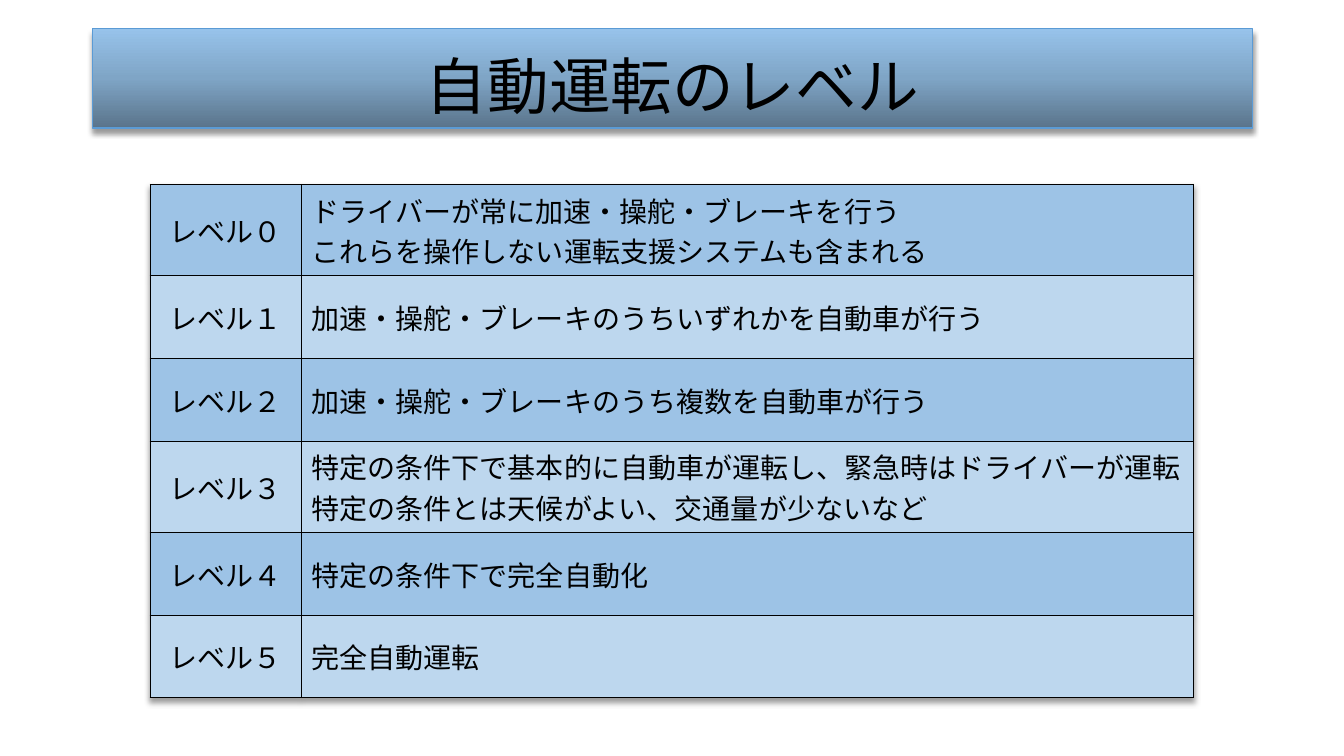
from copy import deepcopy
from dataclasses import dataclass

from lxml.etree import SubElement
from pptx import Presentation
from pptx.dml.color import RGBColor
from pptx.enum.shapes import MSO_SHAPE
from pptx.enum.text import MSO_ANCHOR as Anchor, PP_ALIGN as Align
from pptx.oxml import parse_xml
from pptx.oxml.ns import nsdecls, qn
from pptx.slide import Slide
from pptx.table import Table, _Cell as Cell
from pptx.text.text import TextFrame
from pptx.util import Inches, Pt

SLIDE_W, SLIDE_H = Inches(13.33), Inches(7.5)
FONT = "Noto Sans CJK JP"
COLORS = {
    "ink": "000000",
    "banner_line": "5B9BD5",
    "banner_bottom": "5A748B",
    "banner_middle": "7FA5C6",
    "banner_top": "97C3EB",
    "even_level": "9DC3E6",
    "odd_level": "BDD7EE",
}
TITLE_FORMAT = {"alignment": Align.CENTER, "line_spacing": 0.9}
LABEL_FORMAT = {"alignment": Align.CENTER}
DETAIL_FORMAT = {"alignment": Align.LEFT}
TABLE_FLAGS = {"first_row": False, "horz_banding": False}


@dataclass(frozen=True)
class Area:
    """A rectangle in shares of the slide's width and height."""
    left: float
    top: float
    width: float
    height: float

    def emu(self) -> tuple[int, int, int, int]:
        return (round(self.left * SLIDE_W), round(self.top * SLIDE_H),
                round(self.width * SLIDE_W), round(self.height * SLIDE_H))


@dataclass(frozen=True)
class Level:
    label: str
    details: tuple[str, ...]


BANNER = Area(0.92 / 13.33, 0.28 / 7.5, 11.5 / 13.33, 0.99 / 7.5)
GRID = Area(1.49 / 13.33, 1.83 / 7.5, 10.35 / 13.33, 4.92 / 7.5)
LABEL_SHARE = 1.5 / 10.35
LEVELS = (
    Level("レベル０", ("ドライバーが常に加速・操舵・ブレーキを行う",
                   "これらを操作しない運転支援システムも含まれる")),
    Level("レベル１", ("加速・操舵・ブレーキのうちいずれかを自動車が行う",)),
    Level("レベル２", ("加速・操舵・ブレーキのうち複数を自動車が行う",)),
    Level("レベル３", ("特定の条件下で基本的に自動車が運転し、緊急時はドライバーが運転",
                   "特定の条件とは天候がよい、交通量が少ないなど")),
    Level("レベル４", ("特定の条件下で完全自動化",)),
    Level("レベル５", ("完全自動運転",)),
)


def rgb(name: str) -> RGBColor:
    return RGBColor.from_string(COLORS[name])


def apply(target: object, values: dict) -> None:
    for key, value in values.items():
        setattr(target, key, value)


def soft_shadow():
    return parse_xml(
        f'<a:effectLst {nsdecls("a")}><a:outerShdw blurRad="{Pt(4)}" '
        f'dist="{Pt(3)}" dir="5400000" algn="ctr" rotWithShape="0">'
        f'<a:srgbClr val="{COLORS["ink"]}"><a:alpha val="40000"/></a:srgbClr>'
        '</a:outerShdw></a:effectLst>')


def write(frame: TextFrame, lines: tuple[str, ...], size: int, layout: dict) -> None:
    frame.text = "\n".join(lines)
    for paragraph in frame.paragraphs:
        apply(paragraph, layout)
        for run in paragraph.runs:
            apply(run.font, {"name": FONT, "size": Pt(size)})
            run.font.color.rgb = rgb("ink")
            SubElement(run._r.get_or_add_rPr(), qn("a:ea")).set("typeface", FONT)


def add_banner(slide: Slide, title: str) -> None:
    banner = slide.shapes.add_shape(MSO_SHAPE.ROUNDED_RECTANGLE, *BANNER.emu())
    banner.adjustments[0] = 0
    banner.fill.gradient()
    banner.fill.gradient_angle = 90
    first = banner.fill.gradient_stops[0]._gs
    first.addnext(deepcopy(first))
    shades = ("banner_bottom", "banner_middle", "banner_top")
    for index, (stop, shade) in enumerate(zip(banner.fill.gradient_stops, shades)):
        stop.position = index / 2
        stop.color.rgb = rgb(shade)
    banner.line.color.rgb = rgb("banner_line")
    banner.line.width = Pt(1)
    banner._element.spPr.append(soft_shadow())
    apply(banner.text_frame, {"word_wrap": True, "vertical_anchor": Anchor.BOTTOM})
    write(banner.text_frame, (title,), 44, TITLE_FORMAT)


def outline(cell: Cell) -> None:
    for index, side in enumerate("LRTB"):
        cell._tc.get_or_add_tcPr().insert(index, parse_xml(
            f'<a:ln{side} {nsdecls("a")} w="{Pt(1)}"><a:solidFill>'
            f'<a:srgbClr val="{COLORS["ink"]}"/></a:solidFill></a:ln{side}>'))


def fill_level(table: Table, row: int, level: Level) -> None:
    columns = (((level.label,), LABEL_FORMAT), (level.details, DETAIL_FORMAT))
    for column, (lines, layout) in enumerate(columns):
        cell = table.cell(row, column)
        cell.vertical_anchor = Anchor.MIDDLE
        cell.fill.solid()
        cell.fill.fore_color.rgb = rgb("odd_level" if row % 2 else "even_level")
        outline(cell)
        write(cell.text_frame, lines, 20, layout)


def add_levels(slide: Slide) -> None:
    table = slide.shapes.add_table(len(LEVELS), 2, *GRID.emu()).table
    apply(table, TABLE_FLAGS)
    table._tbl.tblPr.insert(0, soft_shadow())
    width = GRID.emu()[2]
    for column, share in zip(table.columns, (LABEL_SHARE, 1 - LABEL_SHARE)):
        column.width = round(width * share)
    for row, level in enumerate(LEVELS):
        fill_level(table, row, level)


def main() -> None:
    deck = Presentation()
    apply(deck, {"slide_width": SLIDE_W, "slide_height": SLIDE_H})
    slide = deck.slides.add_slide(deck.slide_layouts[6])
    add_banner(slide, "自動運転のレベル")
    add_levels(slide)
    deck.save("out.pptx")


if __name__ == "__main__":
    main()
